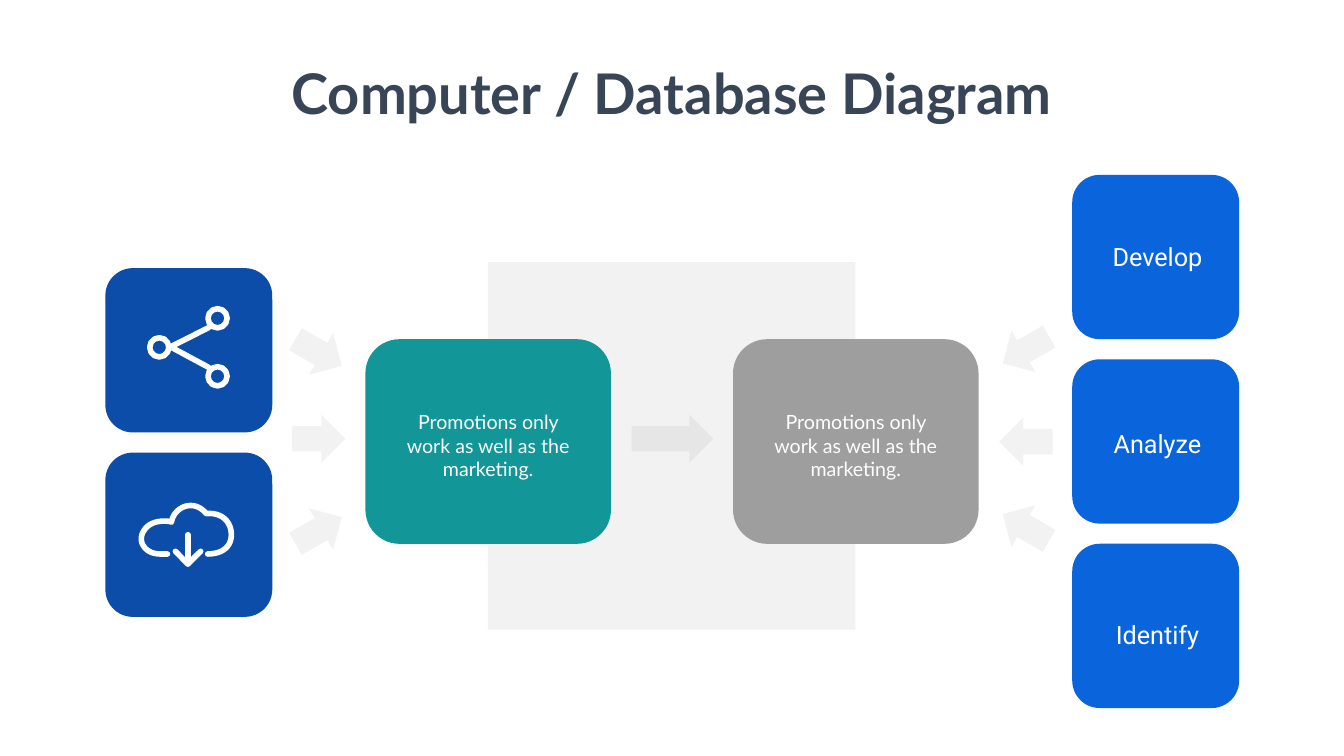
from dataclasses import dataclass
from typing import NamedTuple

from lxml import etree
from pptx import Presentation
from pptx import util as u
from pptx.dml.color import RGBColor
from pptx.enum import shapes, text
from pptx.oxml.ns import qn


@dataclass(frozen=True)
class Theme:
    page: str = "FEFFFE"
    ink: str = "374556"
    white: str = "FFFFFF"
    veil: str = "808080"
    veil_alpha: int = 10
    source: str = "0B4DA8"
    computer: str = "129698"
    database: str = "9D9E9D"
    step: str = "0A65DD"
    head_font: str = "Lato"
    label_font: str = "Roboto"
    title: int = 80
    label: int = 36
    body: int = 28
    stroke: float = 8


class Box(NamedTuple):
    x: float
    y: float
    w: float
    h: float

    def sub(self, x, y, w, h):
        """Box placed by percentages of this one."""
        px, py = self.at(x, y)
        return Box(px, py, self.w * w / 100, self.h * h / 100)

    def at(self, x, y):
        return self.x + self.w * x / 100, self.y + self.h * y / 100

    def emu(self):
        return [u.Inches(v) for v in self]


T = Theme()
SLIDE = Box(0, 0, 26.66, 15)
CARD_GAP = 0.4
SHAPE = shapes.MSO_SHAPE


# Basic parts
def add_part(s, kind, box, color, alpha=None, rotation=0):
    sp = s.shapes.add_shape(kind, *box.emu())
    sp.shadow.inherit = False
    sp.rotation = rotation
    sp.fill.solid()
    sp.fill.fore_color.rgb = RGBColor.from_string(color)
    sp.line.fill.background()
    if alpha:
        clr = sp.fill._xPr.find(qn("a:solidFill"))[0]
        etree.SubElement(clr, qn("a:alpha")).set("val", str(alpha * 1000))
    return sp


def add_text(s, box, words, size, font, color=T.white, bold=False, wrap=True):
    tf = s.shapes.add_textbox(*box.emu()).text_frame
    tf.word_wrap = wrap
    tf.auto_size = text.MSO_AUTO_SIZE.SHAPE_TO_FIT_TEXT
    p = tf.paragraphs[0]
    p.alignment = text.PP_ALIGN.CENTER
    r = p.add_run()
    r.text = words
    r.font.size, r.font.name, r.font.bold = u.Pt(size), font, bold
    r.font.color.rgb = RGBColor.from_string(color)


def add_arrow(s, box, rotation=0):
    sp = add_part(s, SHAPE.RIGHT_ARROW, box, T.veil, T.veil_alpha, rotation)
    sp.adjustments[0], sp.adjustments[1] = 0.532, 0.5


def ink_line(sp):
    sp.line.color.rgb = RGBColor.from_string(T.white)
    sp.line.width = u.Pt(T.stroke)
    sp.line._get_or_add_ln().set("cap", "rnd")


def add_stroke(s, box, points):
    pts = [tuple(u.Inches(v) for v in box.at(*pt)) for pt in points]
    fb = s.shapes.build_freeform(*pts[0])
    fb.add_line_segments(pts[1:], close=False)
    sp = fb.convert_to_shape()
    sp.shadow.inherit = False
    sp.fill.background()
    ink_line(sp)


def add_segment(s, box, start, end):
    (x1, y1), (x2, y2) = box.at(*start), box.at(*end)
    cn = s.shapes.add_connector(shapes.MSO_CONNECTOR.STRAIGHT,
                                *(u.Inches(v) for v in (x1, y1, x2, y2)))
    ink_line(cn)
    etree.SubElement(cn._element.spPr, qn("a:effectLst"))


def curve(start, pieces, steps=12):
    """Points along a chain of cubic curves."""
    points = [start]
    for b, c, d in pieces:
        a = points[-1]
        for i in range(1, steps + 1):
            t = i / steps
            k = 1 - t
            points.append(tuple(k**3 * a[j] + 3 * k * k * t * b[j]
                                + 3 * k * t * t * c[j] + t**3 * d[j] for j in (0, 1)))
    return points


# Icons
def share_icon(s, card):
    hub, radius = (39, 47.9), 0.19
    for end in ((61.9, 36.2), (61.9, 60.4)):
        add_segment(s, card, hub, end)
    for centre in ((32.3, 48.2), (67.2, 30.5), (67.2, 65.8)):
        x, y = card.at(*centre)
        ring = Box(x - radius, y - radius, 2 * radius, 2 * radius)
        ink_line(add_part(s, SHAPE.OVAL, ring, T.source))


def cloud_icon(s, card):
    outline = curve((32.9, 61.7), [
        ((28.7, 61.7), (24.8, 60.1), (22.8, 56.7)),
        ((21.1, 54.3), (21.1, 50.3), (23.1, 47.5)),
        ((25.4, 43.6), (29.9, 41.7), (35, 41.7)),
        ((36.6, 41.7), (38.1, 41.7), (39.6, 42.3)),
        ((40.5, 36.5), (45.6, 32.2), (51.1, 32.2)),
        ((54.7, 32.2), (58, 34), (60.4, 37.1)),
        ((70.4, 36.2), (75.5, 42.6), (75.5, 50)),
        ((75.5, 56.7), (70.7, 61.7), (61.3, 61.7)),
    ])
    add_stroke(s, card, [(37.2, 61.7)] + outline)
    tip = (49.4, 67.8)
    add_segment(s, card, (49.4, 50), tip)
    add_stroke(s, card, [(42, 60.1), tip, (57.1, 60.1)])


# Regions
def card_column(s, box, n, color):
    h = (box.h - (n - 1) * CARD_GAP) / n
    cards = [Box(box.x, box.y + i * (h + CARD_GAP), box.w, h) for i in range(n)]
    for card in cards:
        add_part(s, SHAPE.ROUNDED_RECTANGLE, card, color)
    return cards


def sources(s, box):
    for card, icon in zip(card_column(s, box, 2, T.source), (share_icon, cloud_icon)):
        icon(s, card)


def steps(s, box):
    labels = (("Develop", 38.65), ("Analyze", 40.49), ("Identify", 44.17))
    for card, (words, top) in zip(card_column(s, box, len(labels), T.step), labels):
        add_text(s, card.sub(-13.6, top, 129.3, 21.8), words, T.label, T.label_font)


def inflow(s, box, middle, rotations):
    for top, rotation in zip((0, middle, 78.8), rotations):
        add_arrow(s, box.sub(0, top, 100, 21.2), rotation)


def stage(s, box, color):
    add_part(s, SHAPE.ROUNDED_RECTANGLE, box, color)
    add_text(s, box.sub(13.96, 33.5, 72.07, 37.19),
             "Promotions only work as well as the marketing.", T.body, T.head_font)


def main():
    prs = Presentation()
    prs.slide_width, prs.slide_height = u.Inches(SLIDE.w), u.Inches(SLIDE.h)
    s = prs.slides.add_slide(prs.slide_layouts[6])
    s.background.fill.solid()
    s.background.fill.fore_color.rgb = RGBColor.from_string(T.page)

    # Centre: backdrop and two stages
    add_part(s, SHAPE.RECTANGLE, SLIDE.sub(36.31, 34.67, 27.34, 48.6), T.veil, T.veil_alpha)
    for left, color in ((27.19, T.computer), (54.54, T.database)):
        stage(s, SLIDE.sub(left, 44.87, 18.27, 27.07), color)
    add_arrow(s, SLIDE.sub(47, 54.87, 6.08, 6.33))

    # Sides: cards and the arrows leading inwards
    sources(s, SLIDE.sub(7.84, 35.47, 12.42, 46.13))
    steps(s, SLIDE.sub(79.78, 23.13, 12.42, 70.53))
    inflow(s, SLIDE.sub(21.72, 43.47, 3.98, 29.87), 38.17, (30, 0, 330))
    inflow(s, SLIDE.sub(74.34, 43.13, 3.98, 29.8), 40.7, (150, 180, 210))

    # Title
    add_text(s, SLIDE.sub(21.01, 7.47, 57.95, 9.67), "Computer / Database Diagram",
             T.title, T.head_font, T.ink, bold=True, wrap=False)
    prs.save("out.pptx")


if __name__ == "__main__":
    main()
